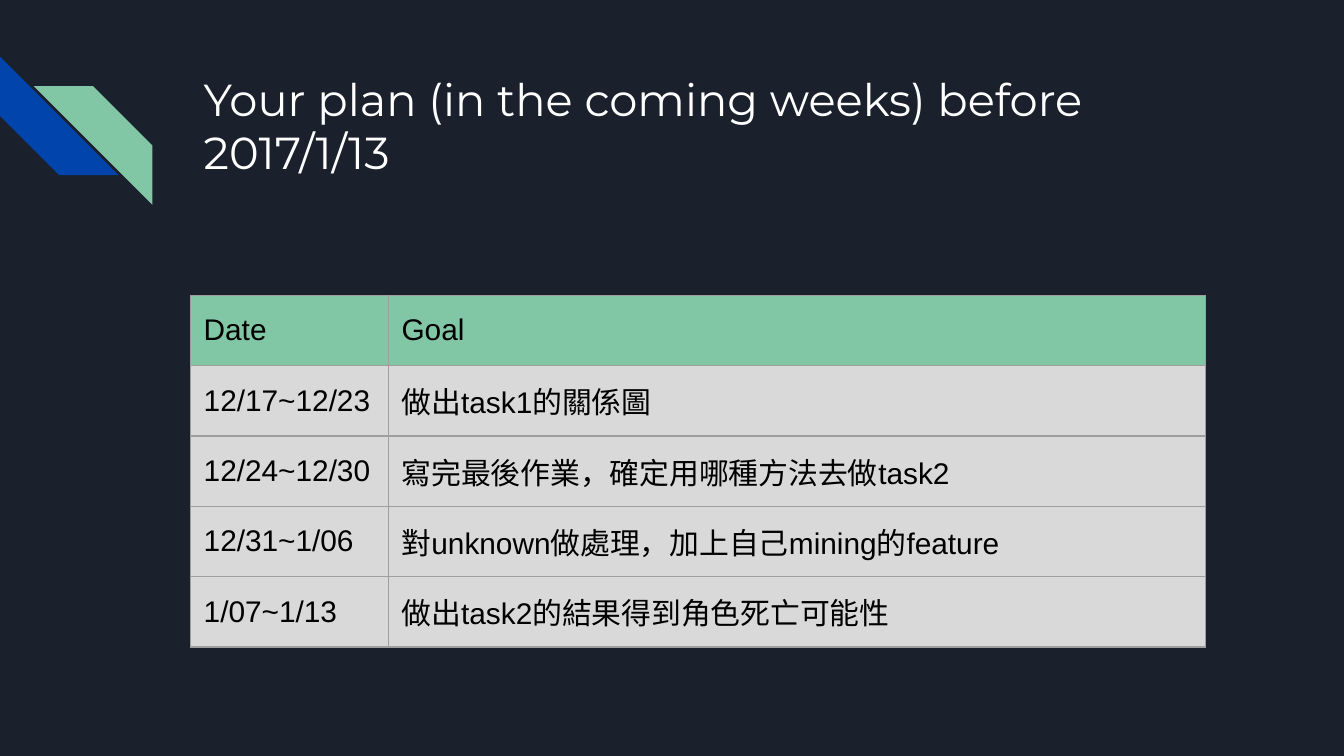
from lxml.etree import SubElement
from pptx import Presentation
from pptx.dml.color import RGBColor
from pptx.enum.shapes import MSO_SHAPE
from pptx.enum.text import MSO_ANCHOR, MSO_AUTO_SIZE, PP_ALIGN
from pptx.oxml.ns import qn
from pptx.util import Cm, Pt

TITLE = "Your plan (in the coming weeks) before 2017/1/13"
PLAN = [
    ("Date", "Goal"),
    ("12/17~12/23", "做出task1的關係圖"),
    ("12/24~12/30", "寫完最後作業，確定用哪種方法去做task2"),
    ("12/31~1/06", "對unknown做處理，加上自己mining的feature"),
    ("1/07~1/13", "做出task2的結果得到角色死亡可能性"),
]
COLORS = {
    "background": "1B212C", "blue": "0145AC", "green": "82C7A5", "gray": "D9D9D9",
    "border": "9E9E9E", "white": "FFFFFF", "black": "000000",
}
# left, top, rotation, mirrored, colour
STRIPES = [(0, 1.07, 270, False, "blue"), (0.64, 1.63, 0, True, "green")]
STRIPE_SIZE = 2.24
LEFT = 3.6
COLUMN_WIDTHS = [3.74, 15.44]
ROW_HEIGHT = 1.33


def color(name):
    """Return the named colour."""
    return RGBColor.from_string(COLORS[name])


def style_text(text_frame, font_name, size, color_name):
    """Format every run of a text frame."""
    for paragraph in text_frame.paragraphs:
        paragraph.alignment = PP_ALIGN.LEFT
        for run in paragraph.runs:
            run.font.name = font_name
            run.font.size = Pt(size)
            run.font.color.rgb = color(color_name)


def add_title(slide):
    """Place and format the title placeholder."""
    title = slide.shapes.title
    title.left, title.top, title.width, title.height = Cm(LEFT), Cm(1.1), Cm(19.56), Cm(2.54)
    text_frame = title.text_frame
    text_frame.text = TITLE
    text_frame.word_wrap = True
    text_frame.auto_size = MSO_AUTO_SIZE.NONE
    text_frame.vertical_anchor = MSO_ANCHOR.TOP
    text_frame.margin_left = text_frame.margin_right = Cm(0.25)
    text_frame.margin_top = text_frame.margin_bottom = Cm(0.25)
    style_text(text_frame, "Montserrat", 24, "white")


def add_stripes(slide):
    """Draw the two diagonal stripes in the corner."""
    for left, top, rotation, mirrored, fill in STRIPES:
        stripe = slide.shapes.add_shape(
            MSO_SHAPE.DIAGONAL_STRIPE, Cm(left), Cm(top), Cm(STRIPE_SIZE), Cm(STRIPE_SIZE))
        stripe.rotation = rotation
        if mirrored:
            stripe._element.spPr.find(qn("a:xfrm")).set("flipH", "1")
        stripe.fill.solid()
        stripe.fill.fore_color.rgb = color(fill)
        stripe.line.fill.background()
        stripe.shadow.inherit = False


def add_borders(cell):
    """Outline a cell on all four sides."""
    properties = cell._tc.get_or_add_tcPr()
    for side in ("lnL", "lnR", "lnT", "lnB"):
        line = SubElement(properties, qn(f"a:{side}"), w=str(Pt(0.75)))
        fill = SubElement(line, qn("a:solidFill"))
        SubElement(fill, qn("a:srgbClr"), val=COLORS["border"])


def add_plan(slide):
    """Build the table of dates and goals."""
    table = slide.shapes.add_table(
        len(PLAN), len(COLUMN_WIDTHS), Cm(LEFT), Cm(5.58),
        Cm(sum(COLUMN_WIDTHS)), Cm(ROW_HEIGHT * len(PLAN))).table
    for column, width in zip(table.columns, COLUMN_WIDTHS):
        column.width = Cm(width)
    for row_index, texts in enumerate(PLAN):
        table.rows[row_index].height = Cm(ROW_HEIGHT)
        for column_index, text in enumerate(texts):
            cell = table.cell(row_index, column_index)
            cell.text_frame.text = text
            style_text(cell.text_frame, "Arial", 16, "black")
            for run in cell.text_frame.paragraphs[0].runs:
                run.font.bold = False
            cell.vertical_anchor = MSO_ANCHOR.MIDDLE
            cell.margin_left = cell.margin_right = Cm(0.25)
            cell.margin_top = cell.margin_bottom = Cm(0.25)
            add_borders(cell)
            cell.fill.solid()
            cell.fill.fore_color.rgb = color("gray" if row_index else "green")


def main():
    """Build and save the plan slide."""
    presentation = Presentation()
    presentation.slide_width, presentation.slide_height = Cm(25.4), Cm(14.29)
    slide = presentation.slides.add_slide(presentation.slide_layouts[5])
    slide.background.fill.solid()
    slide.background.fill.fore_color.rgb = color("background")
    add_stripes(slide)
    add_title(slide)
    add_plan(slide)
    presentation.save("out.pptx")


if __name__ == "__main__":
    main()
